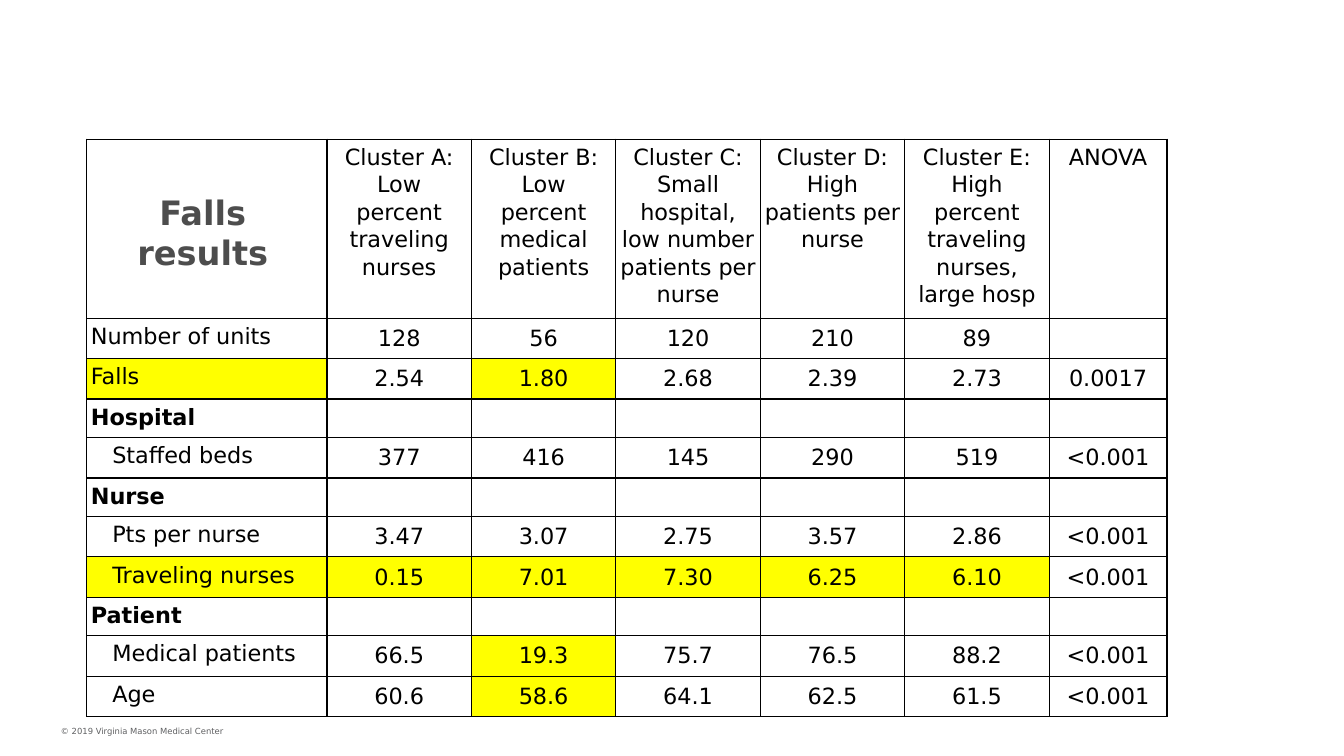
from lxml.etree import SubElement
from pptx import Presentation
from pptx.dml.color import RGBColor as RGB
from pptx.enum.text import PP_ALIGN as Align
from pptx.oxml.ns import qn
from pptx.util import Cm, Pt

COLORS = {
    "ink": "000000",
    "mark": "FFFF00",
    "title": "4D4D4D",
    "note": "5F6062",
}
FONT = "DejaVu Sans"

HEADS = [
    "",
    "Cluster A: Low percent traveling nurses",
    "Cluster B: Low percent medical patients",
    "Cluster C: Small hospital, low number patients per nurse",
    "Cluster D: High patients per nurse",
    "Cluster E: High percent traveling nurses, large hosp",
    "ANOVA",
]
ROWS = [
    HEADS,
    ["Number of units", "128", "56", "120", "210", "89", ""],
    ["Falls", "2.54", "1.80", "2.68", "2.39", "2.73", "0.0017"],
    ["Hospital"] + [""] * 6,
    ["Staffed beds", "377", "416", "145", "290", "519", "<0.001"],
    ["Nurse"] + [""] * 6,
    ["Pts per nurse", "3.47", "3.07", "2.75", "3.57", "2.86", "<0.001"],
    ["Traveling nurses", "0.15", "7.01", "7.30", "6.25", "6.10", "<0.001"],
    ["Patient"] + [""] * 6,
    ["Medical patients", "66.5", "19.3", "75.7", "76.5", "88.2", "<0.001"],
    ["Age", "60.6", "58.6", "64.1", "62.5", "61.5", "<0.001"],
]
GROUPS = {"Hospital", "Nurse", "Patient"}
MARKS = {
    "Falls": {0, 2},
    "Traveling nurses": set(range(6)),
    "Medical patients": {2},
    "Age": {2},
}
WIDTHS = [6.05] + [3.64] * 5 + [2.97]


def style(para, size, color, bold=False):
    font = para.font
    font.name = FONT
    font.size = Pt(size)
    font.bold = bold
    font.color.rgb = RGB.from_string(COLORS[color])


def add_text(text, left, top, width, height):
    box = slide.shapes.add_textbox(Cm(left), Cm(top), Cm(width), Cm(height))
    box.text_frame.word_wrap = True
    para = box.text_frame.paragraphs[0]
    para.text = text
    return para


deck = Presentation()
deck.slide_width = Cm(33.87)
deck.slide_height = Cm(19.05)
slide = deck.slides.add_slide(deck.slide_layouts[6])

note = add_text("© 2019 Virginia Mason Medical Center", 1.28, 18.18, 12.07, 0.5)
style(note, 6, "note")

frame = slide.shapes.add_table(
    len(ROWS), len(HEADS), Cm(2.19), Cm(3.51), Cm(27.22), Cm(14.42)
)
table = frame.table
table.first_row = False
table.horz_banding = False
for col, width in zip(table.columns, WIDTHS):
    col.width = Cm(width)

for r, row in enumerate(ROWS):
    label = row[0]
    group = label in GROUPS
    table.rows[r].height = Cm(4.51 if r == 0 else 0.97 if group else 1)
    for c, text in enumerate(row):
        cell = table.cell(r, c)
        pad = Cm(0.1 if r == 0 or c == 0 or group else 0.15)
        cell.margin_left = cell.margin_right = pad
        cell.margin_top = cell.margin_bottom = pad
        if c == 0 and r > 3 and not group:
            cell.margin_left = Cm(0.64)

        props = cell._tc.get_or_add_tcPr()
        for side in ("lnL", "lnR", "lnT", "lnB"):
            line = SubElement(props, qn("a:" + side), w=str(Pt(1)))
            fill = SubElement(line, qn("a:solidFill"))
            SubElement(fill, qn("a:srgbClr"), val=COLORS["ink"])

        if c in MARKS.get(label, ()):
            cell.fill.solid()
            cell.fill.fore_color.rgb = RGB.from_string(COLORS["mark"])
        else:
            cell.fill.background()

        para = cell.text_frame.paragraphs[0]
        if text:
            para.text = text
            para.line_spacing = 1.06
        para.alignment = Align.LEFT if c == 0 else Align.CENTER
        style(para, 16, "ink", group)

title = add_text("Falls results", 2.19, 4.7, 5.84, 1.35)
title.alignment = Align.CENTER
style(title, 24, "title", True)

deck.save("out.pptx")
